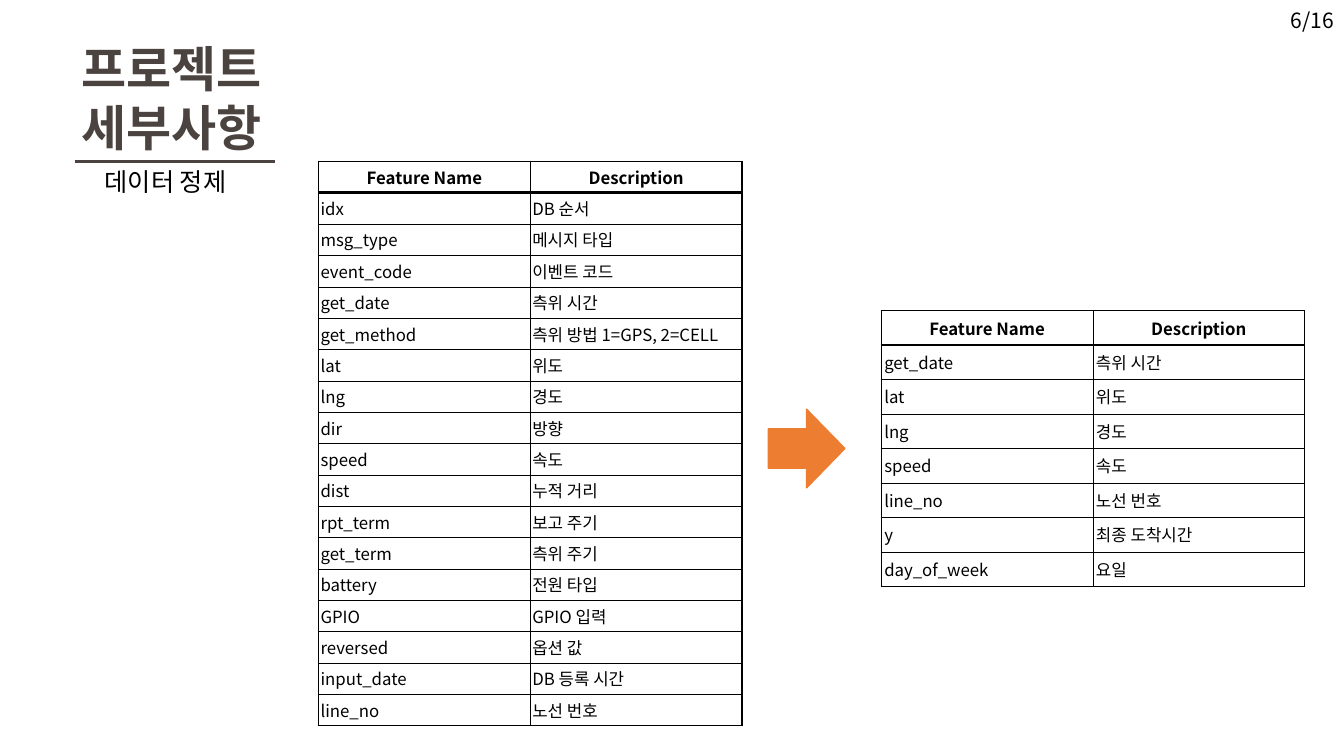
from lxml import etree
from pptx import Presentation
from pptx.dml.color import RGBColor
from pptx.enum.shapes import MSO_CONNECTOR, MSO_SHAPE
from pptx.enum.text import MSO_ANCHOR, PP_ALIGN
from pptx.oxml.ns import qn
from pptx.util import Inches, Pt

LEFT, CENTER, RIGHT = PP_ALIGN.LEFT, PP_ALIGN.CENTER, PP_ALIGN.RIGHT
MIDDLE = MSO_ANCHOR.MIDDLE
STRAIGHT = MSO_CONNECTOR.STRAIGHT
RIGHT_ARROW = MSO_SHAPE.RIGHT_ARROW

FONT = "Noto Sans CJK KR"
BLACK, BROWN, ORANGE = "000000", "4B433F", "ED7D31"
THIN, OUTER = 0.23, 1.05

HEADER = ("Feature Name", "Description")
RAW_FEATURES = [
    ("idx", "DB 순서"),
    ("msg_type", "메시지 타입"),
    ("event_code", "이벤트 코드"),
    ("get_date", "측위 시간"),
    ("get_method", "측위 방법 1=GPS, 2=CELL"),
    ("lat", "위도"),
    ("lng", "경도"),
    ("dir", "방향"),
    ("speed", "속도"),
    ("dist", "누적 거리"),
    ("rpt_term", "보고 주기"),
    ("get_term", "측위 주기"),
    ("battery", "전원 타입"),
    ("GPIO", "GPIO 입력"),
    ("reversed", "옵션 값"),
    ("input_date", "DB 등록 시간"),
    ("line_no", "노선 번호"),
]
CLEANED_FEATURES = [
    ("get_date", "측위 시간"),
    ("lat", "위도"),
    ("lng", "경도"),
    ("speed", "속도"),
    ("line_no", "노선 번호"),
    ("y", "최종 도착시간"),
    ("day_of_week", "요일"),
]


def color(hex_string):
    return RGBColor.from_string(hex_string)


def write(text_frame, text, size=12, fill=BLACK, bold=False, align=LEFT):
    """Put one formatted run into a text frame."""
    paragraph = text_frame.paragraphs[0]
    paragraph.alignment = align
    run = paragraph.add_run()
    run.text = text
    run.font.size = Pt(size)
    run.font.bold = bold
    run.font.name = FONT
    run.font.color.rgb = color(fill)
    # Korean letters take the East Asian typeface
    etree.SubElement(run.font._element, qn("a:ea"), typeface=FONT)


def add_text(slide, box, text, **text_format):
    text_box = slide.shapes.add_textbox(*map(Inches, box))
    text_box.text_frame.word_wrap = True
    write(text_box.text_frame, text, **text_format)


def set_borders(cell, left, right, top, bottom):
    """Give a cell black borders, with widths in points."""
    properties = cell._tc.get_or_add_tcPr()
    for side, width in zip("LRTB", (left, right, top, bottom)):
        line = etree.SubElement(properties, qn(f"a:ln{side}"), w=str(Pt(width)))
        fill = etree.SubElement(line, qn("a:solidFill"))
        etree.SubElement(fill, qn("a:srgbClr"), val=BLACK)


def add_feature_table(slide, box, features, inset, header_rule, bottom_rule):
    """Fill the box with a header row and one equal row per feature."""
    left, top, width, height = box
    rows = [HEADER] + features
    last = len(rows) - 1
    frame = slide.shapes.add_table(len(rows), len(HEADER), *map(Inches, box))
    table = frame.table
    table.horz_banding = False
    for column in table.columns:
        column.width = Inches(width / len(HEADER))
    for r, texts in enumerate(rows):
        table.rows[r].height = Inches(height / len(rows))
        above = {0: OUTER, 1: header_rule}.get(r, THIN)
        below = {0: header_rule, last: bottom_rule}.get(r, THIN)
        for c, text in enumerate(texts):
            cell = table.cell(r, c)
            cell.margin_left = cell.margin_right = Inches(inset)
            cell.margin_top = cell.margin_bottom = 0
            cell.vertical_anchor = MIDDLE
            sides = (OUTER, THIN) if c == 0 else (THIN, OUTER)
            set_borders(cell, *sides, above, below)
            cell.fill.background()
            write(cell.text_frame, text, bold=r == 0,
                  align=CENTER if r == 0 else LEFT)


def add_heading(slide, box):
    """Title, rule below it and subtitle under the rule."""
    left, top, width, height = box
    add_text(slide, box, "프로젝트 세부사항", size=35, fill=BROWN, bold=True,
             align=CENTER)
    rule_y = top + 1.27
    rule = slide.shapes.add_connector(
        STRAIGHT, Inches(left + 0.24), Inches(rule_y),
        Inches(left + 2.23), Inches(rule_y))
    rule.line.color.rgb = color(BROWN)
    rule.line.width = Pt(2.25)
    etree.SubElement(rule._element.spPr, qn("a:effectLst"))
    add_text(slide, (left + 0.44, rule_y, 1.57, 0.4), "데이터 정제", size=18)


def add_arrow(slide, box):
    arrow = slide.shapes.add_shape(RIGHT_ARROW, *map(Inches, box))
    arrow.shadow.inherit = False
    arrow.fill.solid()
    arrow.fill.fore_color.rgb = color(ORANGE)
    arrow.line.color.rgb = color(ORANGE)
    arrow.line.width = Pt(1)


def main():
    presentation = Presentation()
    presentation.slide_width = Inches(13.33)
    presentation.slide_height = Inches(7.5)
    slide = presentation.slides.add_slide(presentation.slide_layouts[6])

    # Page number
    add_text(slide, (12.34, 0.03, 0.99, 0.35), "6/16", size=15, align=RIGHT)

    # Raw features, arrow, cleaned features
    add_feature_table(slide, (3.16, 1.6, 4.2, 5.6), RAW_FEATURES,
                      inset=0.02, header_rule=2.1, bottom_rule=OUTER)
    add_feature_table(slide, (8.74, 3.08, 4.2, 2.74), CLEANED_FEATURES,
                      inset=0.03, header_rule=1.43, bottom_rule=THIN)
    add_arrow(slide, (7.62, 4.06, 0.76, 0.78))

    # Heading
    add_heading(slide, (0.5, 0.33, 2.41, 1.28))

    presentation.save("out.pptx")


if __name__ == "__main__":
    main()
